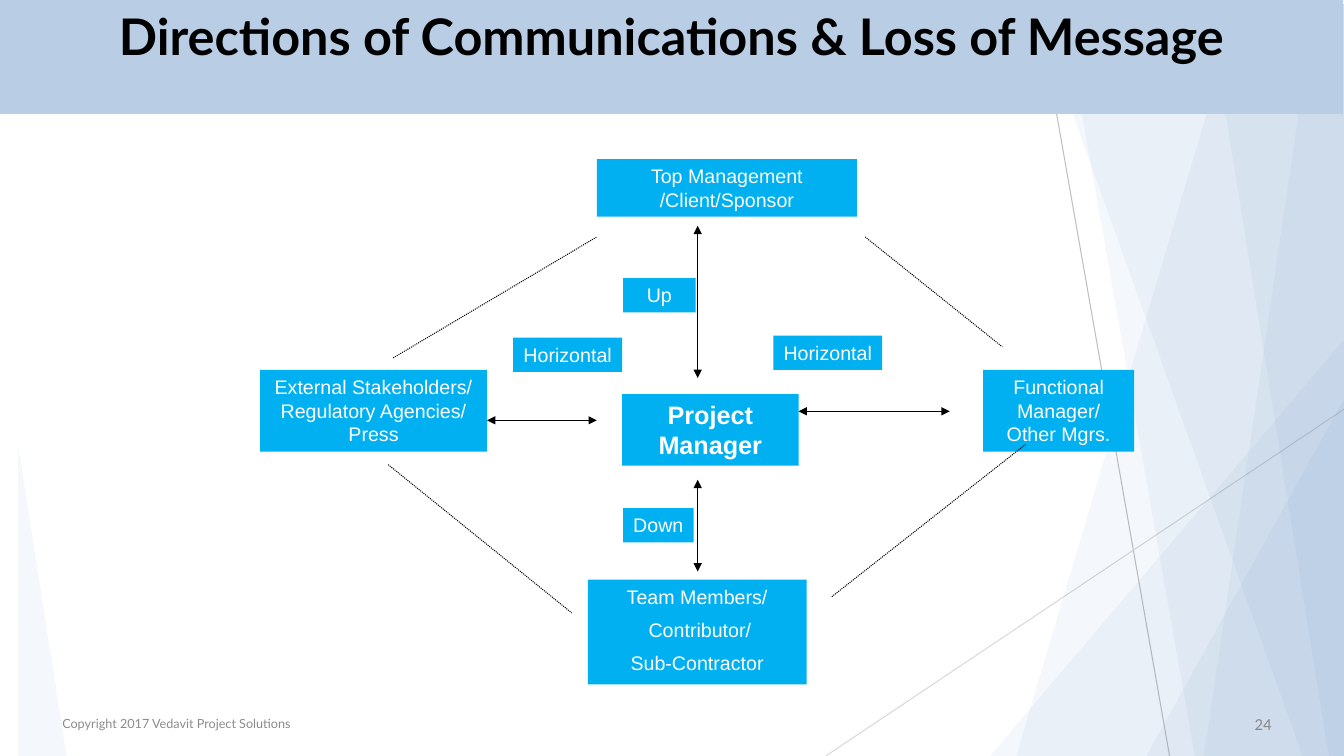
from dataclasses import dataclass

from lxml import etree
from pptx import Presentation
from pptx.dml.color import RGBColor
from pptx.enum.dml import MSO_LINE
from pptx.enum.shapes import MSO_CONNECTOR, MSO_SHAPE
from pptx.enum.text import MSO_ANCHOR, PP_ALIGN
from pptx.oxml.ns import qn
from pptx.shapes.autoshape import Shape
from pptx.slide import Slide
from pptx.text.text import TextFrame
from pptx.util import Inches, Pt

RECT = MSO_SHAPE.RECTANGLE
WEDGE = MSO_SHAPE.ISOSCELES_TRIANGLE
LINE = MSO_CONNECTOR.STRAIGHT
DOTS = MSO_LINE.ROUND_DOT
LEFT, MID, RIGHT = PP_ALIGN.LEFT, PP_ALIGN.CENTER, PP_ALIGN.RIGHT
TOP, CENTER = MSO_ANCHOR.TOP, MSO_ANCHOR.MIDDLE
WIDE, HIGH = 13.33, 7.5
CREST = 0.04


@dataclass(frozen=True)
class Theme:
    box: str = "00B0F0"
    band: str = "B9CDE5"
    facet: str = "4F81BD"
    alpha: int = 6
    ink: str = "000000"
    paper: str = "FFFFFF"
    steep: str = "BFBFBF"
    slant: str = "D9D9D9"
    note: str = "8C8C8C"
    page: str = "898989"
    head: int = 36
    hub: int = 18
    body: int = 14
    count: int = 12
    small: int = 9
    face: str = "Arial"
    title: str = "Lato"
    digit: str = "Calibri"


@dataclass(frozen=True)
class Area:
    left: float
    top: float
    width: float
    height: float

    def emu(self) -> list[int]:
        return [Inches(v) for v in (self.left, self.top, self.width, self.height)]


@dataclass(frozen=True)
class Style:
    face: str
    size: int
    color: str
    bold: bool = False
    align: PP_ALIGN = MID
    gap: int = 0


@dataclass(frozen=True)
class Box:
    area: Area
    lines: tuple[str, ...]
    style: Style
    wrap: bool = True


@dataclass(frozen=True)
class Link:
    x1: float
    y1: float
    x2: float
    y2: float
    color: str
    arrow: bool = False
    dots: bool = False


@dataclass(frozen=True)
class Facet:
    top: float
    base: float


@dataclass(frozen=True)
class Peak:
    area: Area
    tip: int


T = Theme()
BODY = Style(T.face, T.body, T.paper)
LIST = Style(T.face, T.body, T.paper, gap=7)
HUB = Style(T.face, T.hub, T.paper, True)
HEAD = Style(T.title, T.head, T.ink, True)
NOTE = Style(T.title, T.small, T.note, align=LEFT)
PAGE = Style(T.digit, T.count, T.page, align=RIGHT)

RAYS = [
    Link(10.29, 0.05, 11.6, HIGH, T.steep),
    Link(WIDE, 4.06, 8.19, HIGH, T.slant),
]
DECOR: list[Facet | Peak] = [
    Facet(12.29, 10.08),
    Facet(10.54, 11.85),
    Peak(Area(9.82, 3.37, 3.51, 4.13), 1),
    Facet(10.25, 12.92),
    Facet(13.04, 11.94),
    Facet(11.98, 13.18),
    Peak(Area(11.37, 3.96, 1.96, 3.54), 1),
    Peak(Area(0.18, 4.42, 0.48, 3.08), 0),
]
ROLES = [
    Box(Area(5.92, 1.58, 2.58, 0.57), ("Top Management /Client/Sponsor",), BODY),
    Box(Area(5.83, 5.75, 2.17, 1.04),
        ("Team Members/", " Contributor/", "Sub-Contractor"), LIST),
    Box(Area(9.75, 3.67, 1.5, 0.81), ("Functional Manager/", "Other Mgrs."), BODY),
    Box(Area(2.58, 3.67, 2.25, 0.81),
        ("External Stakeholders/", "Regulatory Agencies/", "Press"), BODY),
    Box(Area(6.17, 3.91, 1.75, 0.71), ("Project Manager",), HUB),
]
LINKS = [
    Link(6.92, 2.24, 6.92, 3.75, T.ink, arrow=True),
    Link(6.92, 4.76, 6.92, 5.67, T.ink, arrow=True),
    Link(4.83, 4.17, 5.92, 4.17, T.ink, arrow=True),
    Link(7.92, 4.08, 9.42, 4.08, T.ink, arrow=True),
    Link(8.25, 5.92, 10.17, 4.41, T.ink, dots=True),
    Link(3.85, 4.61, 5.67, 6.08, T.ink, dots=True),
    Link(3.9, 3.55, 5.92, 2.35, T.ink, dots=True),
    Link(8.58, 2.35, 9.94, 3.44, T.ink, dots=True),
]
TAGS = [
    Box(Area(6.18, 2.76, 0.72, 0.34), ("Up",), BODY),
    Box(Area(6.18, 5.04, 0.7, 0.34), ("Down",), BODY, False),
    Box(Area(5.09, 3.35, 1.08, 0.34), ("Horizontal",), BODY, False),
    Box(Area(7.67, 3.33, 1.08, 0.34), ("Horizontal",), BODY, False),
]
FOOT = [
    Box(Area(0.52, 6.98, 7.34, 0.4), ("Copyright 2017 Vedavit Project Solutions",), NOTE),
    Box(Area(11.96, 6.98, 0.75, 0.4), ("24",), PAGE),
]


def rgb(color: str) -> RGBColor:
    return RGBColor.from_string(color)


def paint(shape: Shape, color: str) -> None:
    shape.shadow.inherit = False
    shape.fill.solid()
    shape.fill.fore_color.rgb = rgb(color)
    shape.line.fill.background()


def write(frame: TextFrame, lines: tuple[str, ...], style: Style,
          anchor: MSO_ANCHOR, wrap: bool = True) -> None:
    frame.word_wrap = wrap
    frame.vertical_anchor = anchor
    for i, line in enumerate(lines):
        para = frame.add_paragraph() if i else frame.paragraphs[0]
        para.text = line
        para.alignment = style.align
        para.space_before = Pt(style.gap if i else 0)
        font = para.font
        font.name, font.size, font.bold = style.face, Pt(style.size), style.bold
        font.color.rgb = rgb(style.color)


def draw_link(slide: Slide, link: Link) -> None:
    ends = [Inches(v) for v in (link.x1, link.y1, link.x2, link.y2)]
    wire = slide.shapes.add_connector(LINE, *ends)
    wire.line.color.rgb = rgb(link.color)
    wire.line.width = Pt(0.75)
    if link.dots:
        wire.line.dash_style = DOTS
    if link.arrow:
        for end in ("a:headEnd", "a:tailEnd"):
            etree.SubElement(wire.line._get_or_add_ln(), qn(end), type="triangle")
    etree.SubElement(wire._element.spPr, qn("a:effectLst"))


def draw_decor(slide: Slide, item: Facet | Peak) -> None:
    if isinstance(item, Peak):
        shape = slide.shapes.add_shape(WEDGE, *item.area.emu())
        shape.adjustments[0] = item.tip
    else:
        path = slide.shapes.build_freeform(Inches(item.top), Inches(CREST))
        rest = [(WIDE, CREST), (WIDE, HIGH), (item.base, HIGH)]
        path.add_line_segments([(Inches(x), Inches(y)) for x, y in rest])
        shape = path.convert_to_shape()
    paint(shape, T.facet)
    tint = shape._element.spPr.find(qn("a:solidFill"))[0]
    etree.SubElement(tint, qn("a:alpha"), val=str(T.alpha * 1000))


def draw_box(slide: Slide, box: Box) -> None:
    shape = slide.shapes.add_shape(RECT, *box.area.emu())
    paint(shape, T.box)
    write(shape.text_frame, box.lines, box.style, TOP, box.wrap)


def draw_title(slide: Slide) -> None:
    title = slide.shapes.title
    area = Area(0, 0, 13.32, 1.13)
    title.left, title.top, title.width, title.height = area.emu()
    title.fill.solid()
    title.fill.fore_color.rgb = rgb(T.band)
    write(title.text_frame, ("Directions of Communications & Loss of Message",), HEAD, TOP)
    slide.shapes._spTree.append(title._element)


def main() -> None:
    deck = Presentation()
    deck.slide_width, deck.slide_height = Inches(WIDE), Inches(HIGH)
    slide = deck.slides.add_slide(deck.slide_layouts[5])
    for ray in RAYS:
        draw_link(slide, ray)
    for item in DECOR:
        draw_decor(slide, item)
    for role in ROLES:
        draw_box(slide, role)
    for link in LINKS:
        draw_link(slide, link)
    for tag in TAGS:
        draw_box(slide, tag)
    draw_title(slide)
    for note in FOOT:
        text = slide.shapes.add_textbox(*note.area.emu())
        write(text.text_frame, note.lines, note.style, CENTER)
    deck.save("out.pptx")


if __name__ == "__main__":
    main()
